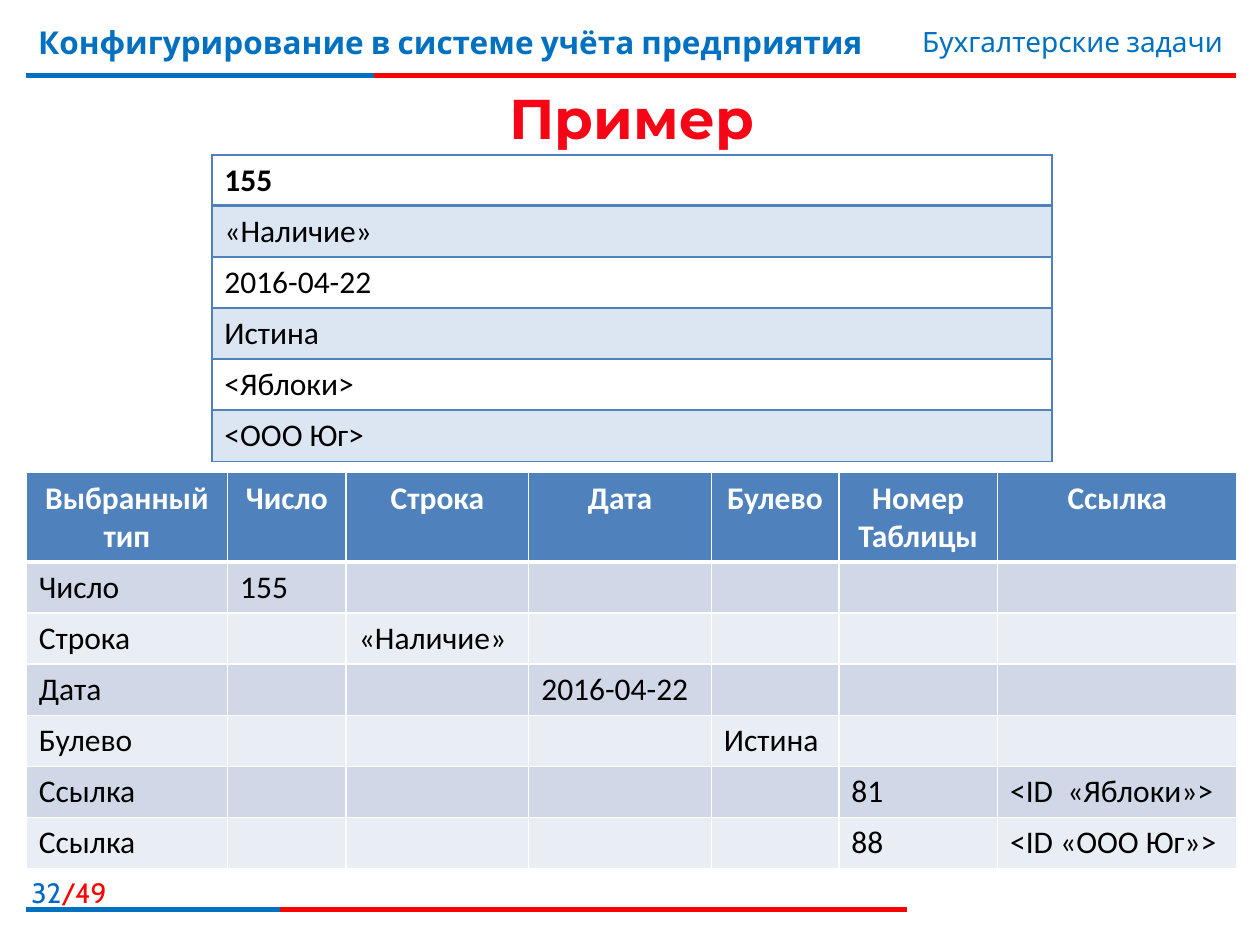
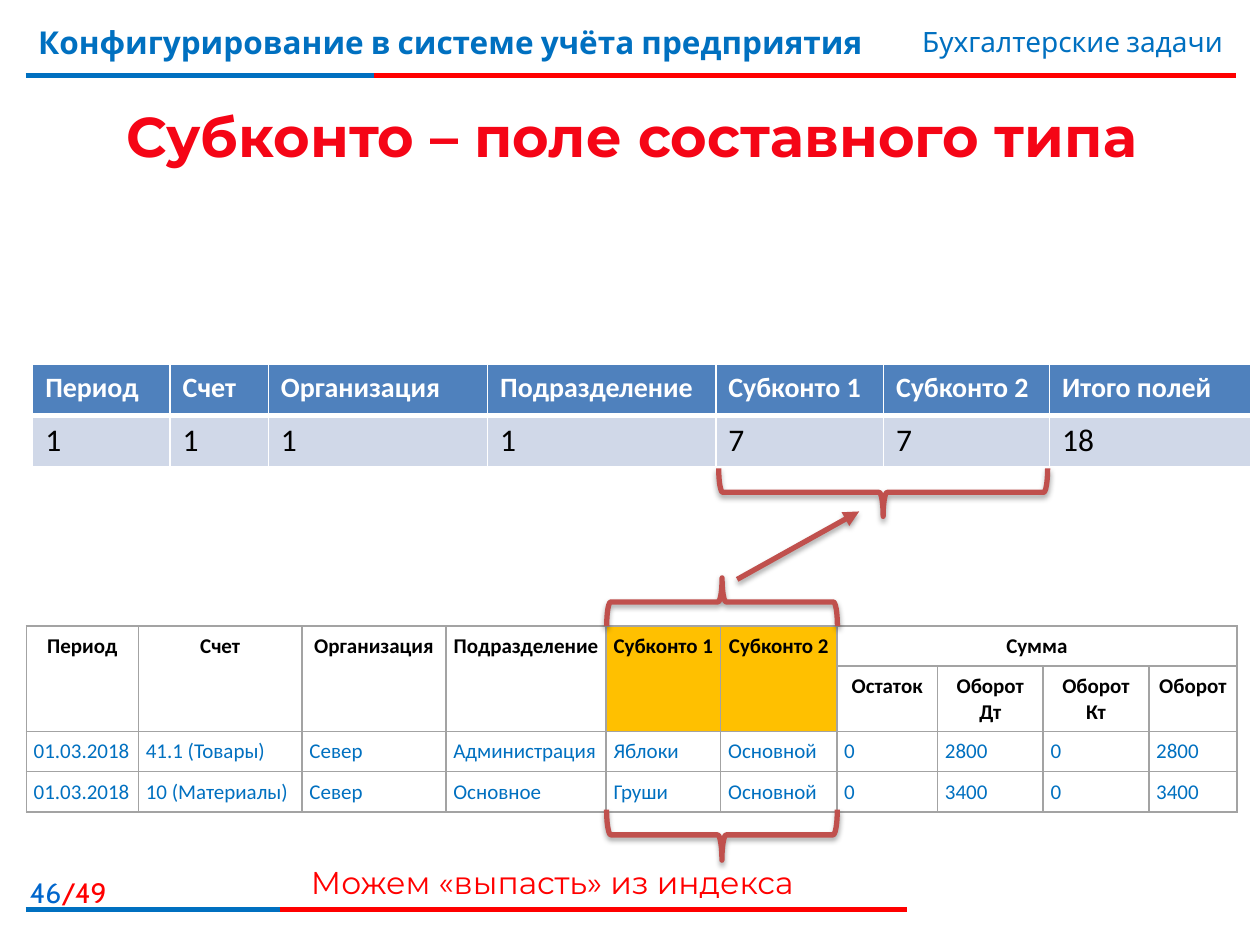
"""Build two slides on fields of a composite type."""
from lxml import etree
from pptx import Presentation
from pptx import util as u
from pptx.dml.color import RGBColor
from pptx.enum import shapes, text
from pptx.oxml.ns import qn

BLUE = RGBColor(0x00, 0x70, 0xC0)
PAGE = RGBColor(0x00, 0x66, 0xCC)
RED = RGBColor(0xFF, 0x00, 0x00)
CRIMSON = RGBColor(0xF5, 0x05, 0x16)
DARK = RGBColor(0xC0, 0x00, 0x00)
BRICK = RGBColor(0xC0, 0x50, 0x4D)
BLACK = RGBColor(0x00, 0x00, 0x00)
WHITE = RGBColor(0xFF, 0xFF, 0xFF)
STEEL = RGBColor(0x4F, 0x81, 0xBD)
PALE = RGBColor(0xDC, 0xE6, 0xF2)
MIST = RGBColor(0xD0, 0xD8, 0xE8)
LIGHT = RGBColor(0xE9, 0xED, 0xF4)
GREY = RGBColor(0xA3, 0xA3, 0xA3)
GOLD = RGBColor(0xFF, 0xC0, 0x00)
LEFT, CENTER, RIGHT = text.PP_ALIGN.LEFT, text.PP_ALIGN.CENTER, text.PP_ALIGN.RIGHT
TOTAL = 49
ROW = 1.03


def place(box):
    """Turn a box in centimetres into lengths."""
    return [u.Cm(side) for side in box]


def style(run, face, size, color, bold=False):
    """Format one run."""
    font = run.font
    font.name, font.size, font.bold = face, u.Pt(size), bold
    font.color.rgb = color


def label(slide, box, parts, face, size, bold=False, align=LEFT):
    """Add a text box whose parts are pairs of words and colour."""
    frame = slide.shapes.add_textbox(*place(box)).text_frame
    frame.word_wrap = True
    para = frame.paragraphs[0]
    para.alignment = align
    for words, color in parts:
        run = para.add_run()
        run.text = words
        style(run, face, size, color, bold)


def line(slide, start, end, color):
    """Draw a straight line without a shadow."""
    link = slide.shapes.add_connector(
        shapes.MSO_CONNECTOR.STRAIGHT, *place(start + end))
    link.line.color.rgb = color
    link.line.width = u.Pt(3)
    etree.SubElement(link._element.spPr, qn("a:effectLst"))
    return link


def band(slide, box, part):
    """Draw a red rule with a blue start of the given length."""
    x, y, width = box
    for length, color in ((width, RED), (part, BLUE)):
        line(slide, (x, y), (x + length, y), color)


def header(slide, box):
    """Draw the course name, the topic and the rule below them."""
    x, y, width = box
    course = "Конфигурирование в системе учёта предприятия"
    label(slide, (x, y, 18.8, 1.57), [(course, BLUE)], "Cabin", 18, True)
    label(slide, (x + width - 9.81, y + 0.05, 9.8, 0.94),
          [("Бухгалтерские задачи", BLUE)], "Cabin", 16, align=RIGHT)
    band(slide, (x, y + 1.19, width), 7.01)


def footer(slide, box, number):
    """Draw the page number and the rule below it."""
    x, y, width = box
    label(slide, (x - 0.76, y, 2.64, 0.81),
          [(str(number), PAGE), (f"/{TOTAL}", RED)], "Cabin", 16, align=RIGHT)
    band(slide, (x, y + 0.81, width), 5.13)


def title(slide, box, words):
    """Move and format the title placeholder."""
    shape = slide.shapes.title
    shape.left, shape.top, shape.width, shape.height = place(box)
    frame = shape.text_frame
    frame.text = words
    frame.vertical_anchor = text.MSO_ANCHOR.MIDDLE
    para = frame.paragraphs[0]
    para.alignment = CENTER
    run = para.runs[0]
    style(run, "Montserrat", 32, CRIMSON, True)
    fill = run.font.fill
    fill.gradient()
    fill.gradient_angle = 270
    for stop, spot, color in zip(fill.gradient_stops, (0.55, 0.86), (CRIMSON, DARK)):
        stop.position, stop.color.rgb = spot, color


def base(deck, number, words, height):
    """Start a slide with its shared parts."""
    slide = deck.slides.add_slide(deck.slide_layouts[5])
    header(slide, (0.52, 0.33, 24.4))
    footer(slide, (0.52, 17.53, 17.77), number)
    title(slide, (0.53, 1.6, 24.41, height), words)
    return slide


def edge(cell, color, widths):
    """Set the borders of a cell, given by side."""
    props = cell._tc.get_or_add_tcPr()
    for side in "LRTB":
        rim = etree.SubElement(
            props, qn(f"a:ln{side}"), w=str(u.Pt(widths.get(side, 1))))
        fill = etree.SubElement(rim, qn("a:solidFill"))
        etree.SubElement(fill, qn("a:srgbClr"), val=str(color))


def tint(cell, color):
    """Fill a cell, or leave it clear."""
    if color is None:
        cell.fill.background()
    else:
        cell.fill.solid()
        cell.fill.fore_color.rgb = color


def grid(slide, spot, cols, rows, data, rim, thick, looks, inset=None):
    """Add a table; looks holds fill, colour, size, bold and alignment by row."""
    box = (*spot, sum(cols), sum(rows))
    table = slide.shapes.add_table(len(rows), len(cols), *place(box)).table
    table.first_row = table.horz_banding = False
    for col, width in zip(table.columns, cols):
        col.width = u.Cm(width)
    for r, (height, words, look) in enumerate(zip(rows, data, looks)):
        table.rows[r].height = u.Cm(height)
        fill, color, size, bold, align = look
        widths = {0: {"B": thick}, 1: {"T": thick}}.get(r, {})
        for c in range(len(cols)):
            cell = table.cell(r, c)
            edge(cell, rim, widths)
            tint(cell, fill)
            if inset:
                cell.margin_left = cell.margin_right = u.Cm(inset)
                cell.margin_top = cell.margin_bottom = u.Cm(inset)
            if c < len(words) and words[c]:
                cell.text_frame.text = words[c]
                para = cell.text_frame.paragraphs[0]
                para.alignment = align
                style(para.runs[0], "Calibri", size, color, bold)
    return table


def values(slide, spot):
    """List the sample values."""
    data = [["155"], ["«Наличие»"], ["2016-04-22"], ["Истина"],
            ["<Яблоки>"], ["<ООО Юг>"]]
    looks = [(PALE if r % 2 else None, BLACK, 18, r == 0, LEFT)
             for r in range(len(data))]
    grid(slide, spot, [16.94], [ROW] * len(data), data, STEEL, 2, looks)


def types(slide, spot):
    """Show in which column each value is stored."""
    head = ["Выбранный тип", "Число", "Строка", "Дата", "Булево",
            "Номер Таблицы", "Ссылка"]
    stored = [("Число", 0, ["155"]), ("Строка", 1, ["«Наличие»"]),
              ("Дата", 2, ["2016-04-22"]), ("Булево", 3, ["Истина"]),
              ("Ссылка", 4, ["81", "<ID  «Яблоки»>"]),
              ("Ссылка", 4, ["88", "<ID «ООО Юг»>"])]
    data = [head] + [[name] + [""] * skip + cells for name, skip, cells in stored]
    looks = [(STEEL, WHITE, 18, True, CENTER)]
    looks += [(fill, BLACK, 18, False, LEFT) for fill in (MIST, LIGHT) * 3]
    cols = [4.06, 2.39, 3.68, 3.68, 2.57, 3.2, 4.83]
    grid(slide, spot, cols, [1.8] + [ROW] * 6, data, WHITE, 3, looks)


def fields(slide, spot):
    """Count the fields behind each column."""
    data = [["Период", "Счет", "Организация", "Подразделение", "Субконто 1",
             "Субконто 2", "Итого полей"], ["1", "1", "1", "1", "7", "7", "18"]]
    looks = [(STEEL, WHITE, 16, True, LEFT), (MIST, BLACK, 18, False, LEFT)]
    cols = [2.77, 1.98, 4.42, 4.6, 3.38, 3.35, 4.06]
    grid(slide, spot, cols, [ROW] * 2, data, WHITE, 3, looks)


def journal(slide, spot):
    """Show the register with its two-row head."""
    data = [["Период", "Счет", "Организация", "Подразделение", "Субконто 1",
             "Субконто 2", "Сумма"],
            [""] * 6 + ["Остаток", "Оборот Дт", "Оборот Кт", "Оборот"],
            ["01.03.2018", "41.1 (Товары)", "Север", "Администрация", "Яблоки",
             "Основной", "0", "2800", "0", "2800"],
            ["01.03.2018", "10 (Материалы)", "Север", "Основное", "Груши",
             "Основной", "0", "3400", "0", "3400"]]
    looks = [(None, BLACK, 12, True, CENTER)] * 2
    looks += [(None, BLUE, 12, False, LEFT)] * 2
    cols = [2.26, 3.3, 2.9, 3.23, 2.31, 2.34, 2.03, 2.13, 2.13, 1.78]
    table = grid(slide, spot, cols, [0.79, 1.29, 0.79, 0.79], data, GREY, 1,
                 looks, 0.15)
    for c in range(6):
        table.cell(0, c).merge(table.cell(1, c))
    table.cell(0, 6).merge(table.cell(0, 9))
    for c in (4, 5):
        for r in (0, 1):
            tint(table.cell(r, c), GOLD)


def shade(props):
    """Put a soft shadow below a shape."""
    list_ = props.find(qn("a:effectLst"))
    cast = etree.SubElement(list_, qn("a:outerShdw"), blurRad="40000",
                            dist="23000", dir="5400000", rotWithShape="0")
    color = etree.SubElement(cast, qn("a:srgbClr"), val=str(BLACK))
    etree.SubElement(color, qn("a:alpha"), val="35000")


def brace(slide, box, turn):
    """Draw a turned brace that fills the given flat box."""
    x, y, width, height = box
    left, top = x + (width - height) / 2, y - (width - height) / 2
    shape = slide.shapes.add_shape(
        shapes.MSO_SHAPE.LEFT_BRACE, *place((left, top, height, width)))
    shape.rotation = turn
    shape.fill.background()
    shape.line.color.rgb = BRICK
    shape.line.width = u.Pt(3)
    shape.shadow.inherit = False
    shade(shape._element.spPr)


def arrow(slide, start, end):
    """Draw an arrow with a soft shadow."""
    props = line(slide, start, end, BRICK)._element.spPr
    etree.SubElement(props.find(qn("a:ln")), qn("a:tailEnd"), type="triangle")
    shade(props)


def sample(deck):
    """Build the slide with sample values."""
    slide = base(deck, 32, "Пример", 1.52)
    values(slide, (4.27, 3.12))
    types(slide, (0.53, 9.53))


def mixed(deck):
    """Build the slide on the composite field."""
    slide = base(deck, 46, "Субконто – поле составного типа", 2.24)
    label(slide, (6.02, 17.27, 12.42, 1.02),
          [("Можем «выпасть» из индекса", RED)], "Montserrat", 18)
    fields(slide, (0.66, 7.34))
    journal(slide, (0.53, 12.62))
    brace(slide, (12.23, 16.32, 4.65, 1.02), 270)
    brace(slide, (12.23, 11.65, 4.65, 0.97), 90)
    brace(slide, (14.49, 9.44, 6.63, 0.97), 270)
    arrow(slide, (14.86, 11.68), (17.32, 10.31))


def main():
    """Build and save the deck."""
    deck = Presentation()
    deck.slide_width, deck.slide_height = place((25.4, 19.05))
    sample(deck)
    mixed(deck)
    deck.save("out.pptx")


if __name__ == "__main__":
    main()
